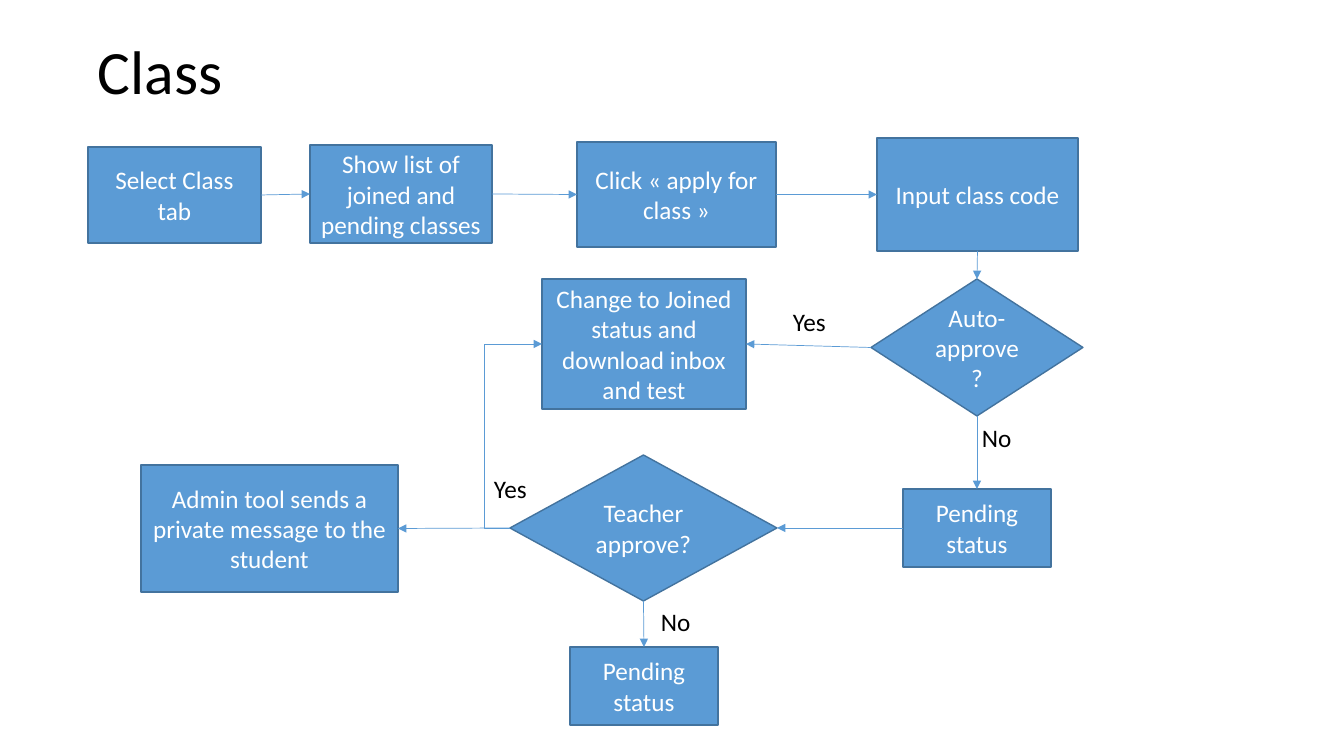
from dataclasses import dataclass

from lxml import etree
from pptx import Presentation
from pptx import util as u
from pptx.dml.color import RGBColor
from pptx.enum import shapes, text
from pptx.oxml import ns

EMU_PER_PX = 914400 / 100.8
FONT = "Calibri"
FILL, OUTLINE, WHITE, BLACK = "5B9BD5", "43739E", "FFFFFF", "000000"
RECT = shapes.MSO_SHAPE.RECTANGLE
DIAMOND = shapes.MSO_SHAPE.DIAMOND
TOP, LEFT, BOTTOM, RIGHT = range(4)


@dataclass
class Step:
    name: str
    caption: str
    left: int
    top: int
    width: int
    height: int
    kind: int = RECT


@dataclass
class Arrow:
    start: str
    start_side: int
    end: str
    end_side: int
    bend: int | None = None


@dataclass
class Label:
    caption: str
    left: int
    top: int
    width: int
    height: int = 40


STEPS = [
    Step("select", "Select Class tab", 88, 147, 173, 96),
    Step("list", "Show list of joined and pending classes", 310, 145, 182, 98),
    Step("apply", "Click « apply for class »", 577, 142, 199, 105),
    Step("code", "Input class code", 877, 138, 201, 113),
    Step("auto", "Auto-approve?", 871, 279, 212, 137, DIAMOND),
    Step("joined", "Change to Joined status and download inbox and test", 542, 279, 204, 130),
    Step("message", "Admin tool sends a private message to the student", 141, 465, 257, 127),
    Step("pending", "Pending status", 903, 489, 148, 78),
    Step("teacher", "Teacher approve?", 510, 455, 267, 146, DIAMOND),
    Step("still_pending", "Pending status", 570, 647, 148, 78),
]

ARROWS = [
    Arrow("select", RIGHT, "list", LEFT),
    Arrow("list", RIGHT, "apply", LEFT),
    Arrow("apply", RIGHT, "code", LEFT),
    Arrow("code", BOTTOM, "auto", TOP),
    Arrow("auto", LEFT, "joined", RIGHT),
    Arrow("auto", BOTTOM, "pending", TOP),
    Arrow("pending", LEFT, "teacher", RIGHT),
    Arrow("teacher", LEFT, "message", RIGHT),
    Arrow("teacher", LEFT, "joined", LEFT, bend=-80300),
    Arrow("teacher", BOTTOM, "still_pending", TOP),
]

LABELS = [
    Label("Yes", 484, 468, 53),
    Label("Yes", 783, 301, 53),
    Label("No", 972, 417, 50),
    Label("No", 651, 601, 50),
]


def px(length: int) -> u.Emu:
    return u.Emu(round(length * EMU_PER_PX))


def colour(code: str) -> RGBColor:
    return RGBColor.from_string(code)


def write(box, caption: str, size: int, code: str):
    box.text_frame.text = caption
    para = box.text_frame.paragraphs[0]
    for span in para.runs:
        span.font.name = FONT
        span.font.size = u.Pt(size)
        span.font.color.rgb = colour(code)
    return para


def draw_title(page, caption: str) -> None:
    box = page.shapes.add_textbox(px(88), px(31), px(1159), px(88))
    box.text_frame.word_wrap = True
    box.text_frame.vertical_anchor = text.MSO_ANCHOR.MIDDLE
    write(box, caption, 44, BLACK).line_spacing = 0.9


def draw_step(page, step: Step):
    box = page.shapes.add_shape(
        step.kind, px(step.left), px(step.top), px(step.width), px(step.height)
    )
    box.shadow.inherit = False
    box.fill.solid()
    box.fill.fore_color.rgb = colour(FILL)
    box.line.color.rgb = colour(OUTLINE)
    box.line.width = u.Pt(1)
    box.text_frame.word_wrap = True
    box.text_frame.vertical_anchor = text.MSO_ANCHOR.MIDDLE
    write(box, step.caption, 18, WHITE).alignment = text.PP_ALIGN.CENTER
    return box


def draw_arrow(page, arrow: Arrow, boxes: dict) -> None:
    straight = arrow.bend is None
    kind = shapes.MSO_CONNECTOR.STRAIGHT if straight else shapes.MSO_CONNECTOR.ELBOW
    connector = page.shapes.add_connector(kind, 0, 0, 0, 0)
    connector.begin_connect(boxes[arrow.start], arrow.start_side)
    connector.end_connect(boxes[arrow.end], arrow.end_side)
    connector.line.color.rgb = colour(FILL)
    connector.line.width = u.Pt(0.5)
    properties = connector._element.spPr
    line = properties.find(ns.qn("a:ln"))
    etree.SubElement(line, ns.qn("a:tailEnd"), type="triangle")
    etree.SubElement(properties, ns.qn("a:effectLst"))
    if not straight:
        geometry = properties.find(ns.qn("a:prstGeom"))
        guides = geometry.find(ns.qn("a:avLst"))
        etree.SubElement(guides, ns.qn("a:gd"), name="adj1", fmla=f"val {arrow.bend}")


def draw_label(page, label: Label) -> None:
    box = page.shapes.add_textbox(
        px(label.left), px(label.top), px(label.width), px(label.height)
    )
    box.text_frame.word_wrap = False
    box.text_frame.auto_size = text.MSO_AUTO_SIZE.SHAPE_TO_FIT_TEXT
    write(box, label.caption, 18, BLACK)


def main() -> None:
    deck = Presentation()
    deck.slide_width, deck.slide_height = px(1344), px(756)
    page = deck.slides.add_slide(deck.slide_layouts[6])
    draw_title(page, "Class")
    boxes = {step.name: draw_step(page, step) for step in STEPS}
    for arrow in ARROWS:
        draw_arrow(page, arrow, boxes)
    for label in LABELS:
        draw_label(page, label)
    deck.save("out.pptx")


if __name__ == "__main__":
    main()
